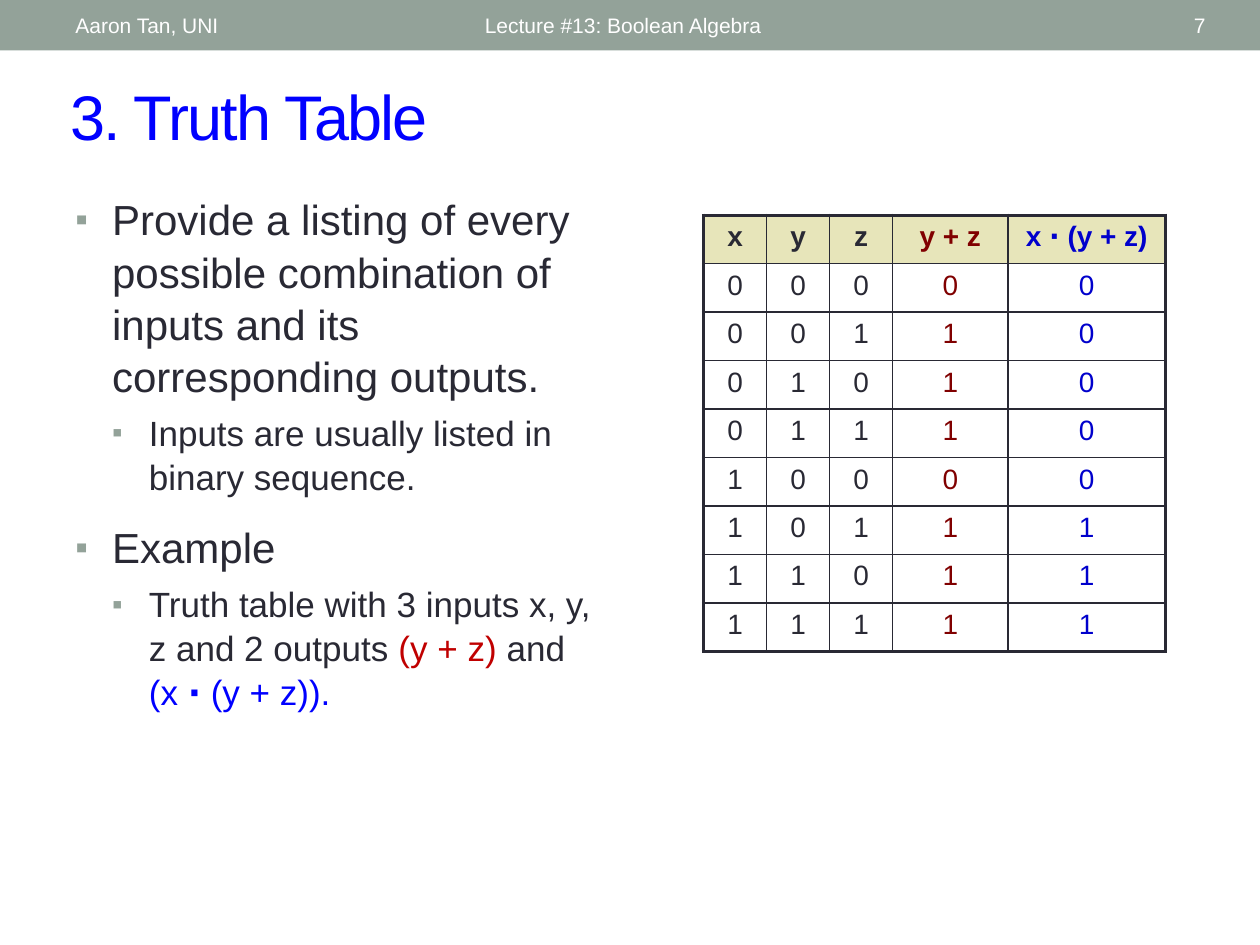
from dataclasses import dataclass

from lxml import etree
from pptx import Presentation
from pptx.dml.color import RGBColor
from pptx.enum.shapes import MSO_SHAPE
from pptx.enum.text import MSO_ANCHOR, PP_ALIGN
from pptx.oxml.ns import qn
from pptx.util import Pt

LEFT, CENTER, RIGHT = PP_ALIGN.LEFT, PP_ALIGN.CENTER, PP_ALIGN.RIGHT
TOP, MIDDLE = MSO_ANCHOR.TOP, MSO_ANCHOR.MIDDLE
RECT = MSO_SHAPE.RECTANGLE


@dataclass(frozen=True)
class Theme:
    """Colours, font and type sizes of the slide."""
    font: str = "Arial"
    accent: str = "93A299"
    ink: str = "292934"
    white: str = "FFFFFF"
    blue: str = "0000FF"
    red: str = "C00000"
    sum_col: str = "800000"
    result_col: str = "0000CC"
    header_fill: str = "E7E5BA"
    title: int = 36
    body: int = 24
    sub: int = 20
    cell: int = 16
    footer: int = 12


T = Theme()


def add_run(p, text, size, color=T.ink, bold=False, spacing=None):
    """Append text to a paragraph in the given format."""
    r = p.add_run()
    r.text = text
    r.font.name, r.font.size, r.font.bold = T.font, Pt(size), bold
    r.font.color.rgb = RGBColor.from_string(color)
    if spacing is not None:
        r.font._element.set("spc", str(spacing))


def add_box(s, box, anchor=TOP):
    """Add a wrapping text box and return its text frame."""
    tf = s.shapes.add_textbox(*map(Pt, box)).text_frame
    tf.word_wrap = True
    tf.vertical_anchor = anchor
    return tf


def add_header(s, box):
    """Draw the top band with author, lecture and slide number."""
    x, y, w, h = box
    sp = s.shapes.add_shape(RECT, *map(Pt, box))
    sp.shadow.inherit = False
    sp.fill.solid()
    sp.fill.fore_color.rgb = RGBColor.from_string(T.accent)
    sp.line.fill.background()
    labels = (("Aaron Tan, UNI", 36, 228, LEFT),
              ("Lecture #13: Boolean Algebra", 270, 324, LEFT),
              ("7", 628, 68, RIGHT))
    for text, left, width, align in labels:
        p = add_box(s, (x + left, y + 1.4, width, h - 2.8), MIDDLE).paragraphs[0]
        p.alignment = align
        add_run(p, text, T.footer, T.white)


def add_title(s, box, text):
    """Place the slide title."""
    p = add_box(s, box, MIDDLE).paragraphs[0]
    add_run(p, text, T.title, T.blue, spacing=-100)


def add_bullet(p, level):
    """Give a paragraph a square bullet and a hanging indent."""
    pPr = p._p.get_or_add_pPr()
    pPr.set("marL", str(Pt(21 * (level + 1))))
    pPr.set("indent", str(-Pt(21)))
    clr = etree.SubElement(pPr, qn("a:buClr"))
    etree.SubElement(clr, qn("a:srgbClr"), val=T.accent)
    etree.SubElement(pPr, qn("a:buSzPct"), val="85000")
    etree.SubElement(pPr, qn("a:buFont"), typeface=T.font)
    etree.SubElement(pPr, qn("a:buChar"), char="▪")


def add_bullets(s, box, items):
    """Place bulleted paragraphs given as level, space before and runs."""
    tf = add_box(s, box)
    for i, (level, before, runs) in enumerate(items):
        p = tf.paragraphs[0] if i == 0 else tf.add_paragraph()
        p.level = level
        p.line_spacing = 1.04
        p.space_before = Pt(before)
        add_bullet(p, level)
        for text, color, bold in runs:
            if text == "\n":
                p.add_line_break()
            else:
                add_run(p, text, T.sub if level else T.body, color, bold)


def set_borders(cell, widths):
    """Draw the left, right, top and bottom borders of a cell."""
    tcPr = cell._tc.get_or_add_tcPr()
    for i, (side, width) in enumerate(zip("LRTB", widths)):
        ln = etree.Element(qn(f"a:ln{side}"), w=str(Pt(width)))
        fill = etree.SubElement(ln, qn("a:solidFill"))
        etree.SubElement(fill, qn("a:srgbClr"), val=T.ink)
        tcPr.insert(i, ln)


def add_truth_table(s, box, col_widths, rows):
    """Draw a truth table with a heavy outline and a tinted header."""
    n_rows, n_cols = len(rows), len(col_widths)
    table = s.shapes.add_table(n_rows, n_cols, *map(Pt, box)).table
    table.first_row = table.horz_banding = False
    for col, width in zip(table.columns, col_widths):
        col.width = Pt(width)
    colors = (T.ink,) * 3 + (T.sum_col, T.result_col)
    for i, row in enumerate(rows):
        table.rows[i].height = Pt(box[3] / n_rows)
        for j, text in enumerate(row):
            cell = table.cell(i, j)
            if i == 0:
                cell.fill.solid()
                cell.fill.fore_color.rgb = RGBColor.from_string(T.header_fill)
            else:
                cell.fill.background()
            edges = (j == 0, j == n_cols - 1, i == 0, i == n_rows - 1)
            set_borders(cell, [2.25 if edge else 1 for edge in edges])
            p = cell.text_frame.paragraphs[0]
            p.alignment = CENTER
            add_run(p, text, T.cell, colors[j], bold=i == 0)


def truth_rows():
    """Return the header and the eight rows in binary sequence."""
    rows = [("x", "y", "z", "y + z", "x ⋅ (y + z)")]
    for n in range(8):
        x, y, z = n >> 2 & 1, n >> 1 & 1, n & 1
        rows.append([str(v) for v in (x, y, z, y | z, x & (y | z))])
    return rows


def main():
    """Build the truth table slide and save it."""
    prs = Presentation()
    prs.slide_width, prs.slide_height = Pt(720), Pt(540)
    s = prs.slides.add_slide(prs.slide_layouts[6])
    add_header(s, (0, 0, 720, 28.8))
    add_title(s, (33, 41, 653, 50.4), "3. Truth Table")
    add_bullets(s, (36, 106, 324, 294), (
        (0, 0, [("Provide a listing of every possible combination of inputs "
                 "and its corresponding outputs.", T.ink, False)]),
        (1, 5, [("Inputs are usually listed in binary sequence.", T.ink, False)]),
        (0, 13, [("Example", T.ink, False)]),
        (1, 5, [("Truth table with 3 inputs x, y, z and 2 outputs ", T.ink, False),
                ("(y + z) ", T.red, False),
                ("and ", T.ink, False),
                ("\n", T.ink, False),
                ("(x ", T.blue, False),
                ("⋅ ", T.blue, True),
                ("(y + z)).", T.blue, False)]),
    ))
    add_truth_table(s, (402, 123, 264, 249.3), (36, 36, 36, 66, 90), truth_rows())
    prs.save("out.pptx")


if __name__ == "__main__":
    main()
